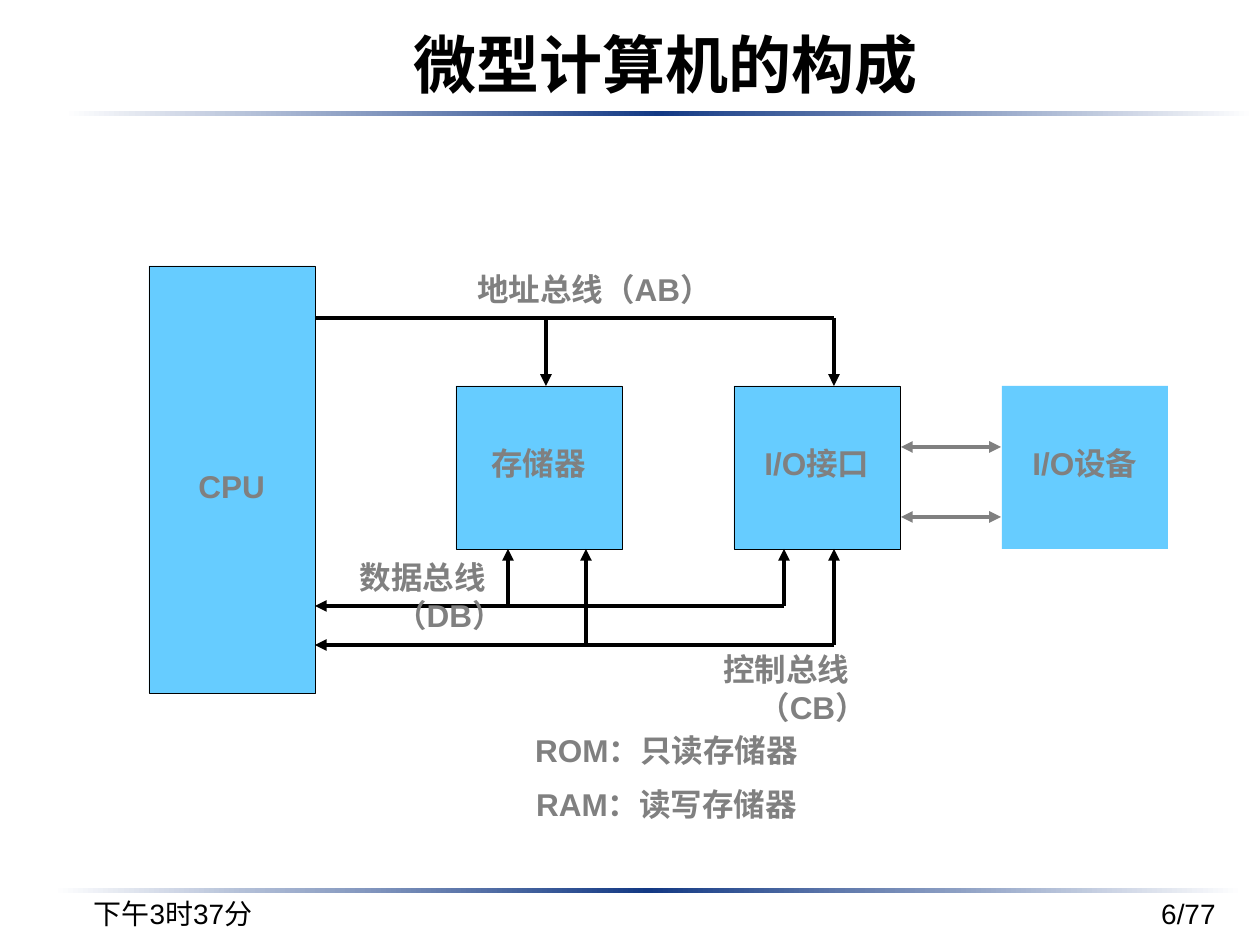
from lxml.etree import SubElement
from pptx import Presentation
from pptx.dml.color import RGBColor
from pptx.enum.shapes import MSO_CONNECTOR, MSO_SHAPE
from pptx.enum.text import MSO_ANCHOR, PP_ALIGN
from pptx.oxml.ns import qn
from pptx.util import Pt

PX = 7257  # EMU per px, 126 px to the inch
C = {name: RGBColor.from_string(value) for name, value in {
    "black": "000000", "gray": "808080", "box": "66CCFF",
    "white": "FFFFFF", "navy": "133984"}.items()}
CJK = "Noto Sans CJK SC"


def write(tf, text, size, color, align, bold=True, font="Arial", hanging=False):
    """Fill a text frame; hanging gives the indent of the diagram labels."""
    tf.word_wrap = True
    tf.text = text
    for i, p in enumerate(tf.paragraphs):
        p.alignment = align
        if hanging:
            pPr = p._p.get_or_add_pPr()
            pPr.set("marL", str(145 * PX))
            pPr.set("indent", str(-53 * PX))
        if i:
            p.space_before = Pt(9)
        for r in p.runs:
            r.font.size, r.font.bold, r.font.name = Pt(size), bold, font
            r.font.color.rgb = C[color]
            SubElement(r._r.get_or_add_rPr(), qn("a:ea"), typeface=CJK)


def line(x1, y1, x2, y2, color="black", ends=("tailEnd",)):
    cn = s.shapes.add_connector(MSO_CONNECTOR.STRAIGHT,
                                x1 * PX, y1 * PX, x2 * PX, y2 * PX)
    cn.line.width = Pt(2.25)
    cn.line.color.rgb = C[color]
    for end in ends:
        SubElement(cn.line._get_or_add_ln(), qn("a:" + end), type="triangle")
    SubElement(cn._element.spPr, qn("a:effectLst"))


prs = Presentation()
prs.slide_width, prs.slide_height = 1260 * PX, 945 * PX
s = prs.slides.add_slide(prs.slide_layouts[5])

# Title
title = s.shapes.title
title.left, title.top, title.width, title.height = 343 * PX, 18 * PX, 645 * PX, 91 * PX
title.text_frame.vertical_anchor = MSO_ANCHOR.TOP
title.text_frame.margin_top = 8 * PX
write(title.text_frame, "微型计算机的构成", 36, "black", PP_ALIGN.CENTER, font=CJK)

# Header and footer rules, each fading out from its middle
half = 595
for left, top in ((64, 111), (53, 888)):
    for i, ends in enumerate((("white", "navy"), ("navy", "white"))):
        sp = s.shapes.add_shape(MSO_SHAPE.RECTANGLE, (left + i * half) * PX, top * PX,
                                half * PX, 5 * PX)
        sp.shadow.inherit = False
        sp.line.fill.background()
        sp.fill.gradient()
        sp.fill.gradient_angle = 0
        for stop, name in zip(sp.fill.gradient_stops, ends):
            stop.color.rgb = C[name]

# Blocks: x, y, height, outlined
for x, y, h, outlined in ((149, 266, 427, True), (456, 386, 163, True),
                          (734, 386, 163, True), (1002, 386, 163, False)):
    sp = s.shapes.add_shape(MSO_SHAPE.RECTANGLE, x * PX, y * PX, 166 * PX, h * PX)
    sp.shadow.inherit = False
    sp.fill.solid()
    sp.fill.fore_color.rgb = C["box"]
    if outlined:
        sp.line.color.rgb = C["black"]
        sp.line.width = Pt(0.25)
    else:
        sp.line.fill.background()

# Address bus
line(315, 318, 834, 318, ends=())
for x in (546, 834):
    line(x, 318, x, 386)

# Data bus, then control bus
for y, xs in ((606, (508, 784)), (645, (586, 834))):
    line(xs[-1], y, 315, y)
    for x in xs:
        line(x, y, x, 549)

# Interface to device
for y in (447, 517):
    line(901, y, 1001, y, "gray", ("headEnd", "tailEnd"))

# Labels: text, x, y, width, height, alignment
for text, x, y, w, h, align in (
        ("CPU", 94, 461, 268, 50, PP_ALIGN.LEFT),
        ("存储器", 387, 438, 268, 50, PP_ALIGN.LEFT),
        ("I/O接口", 660, 438, 268, 50, PP_ALIGN.LEFT),
        ("I/O设备", 928, 438, 268, 50, PP_ALIGN.LEFT),
        ("地址总线（AB）", 372, 264, 353, 88, PP_ALIGN.CENTER),
        ("数据总线（DB）", 208, 552, 338, 88, PP_ALIGN.CENTER),
        ("控制总线（CB）", 566, 644, 348, 88, PP_ALIGN.CENTER),
        ("ROM：只读存储器\nRAM：读写存储器", 407, 725, 427, 107, PP_ALIGN.CENTER)):
    tb = s.shapes.add_textbox(x * PX, y * PX, w * PX, h * PX)
    write(tb.text_frame, text, 18, "gray", align, hanging=True)

# Footer
for text, x, align in (("下午3时37分", 42, PP_ALIGN.CENTER), ("6/77", 966, PP_ALIGN.RIGHT)):
    tb = s.shapes.add_textbox(x * PX, 882 * PX, 262 * PX, 63 * PX)
    tb.text_frame.vertical_anchor = MSO_ANCHOR.MIDDLE
    write(tb.text_frame, text, 16, "black", align, bold=False)

prs.save("out.pptx")
